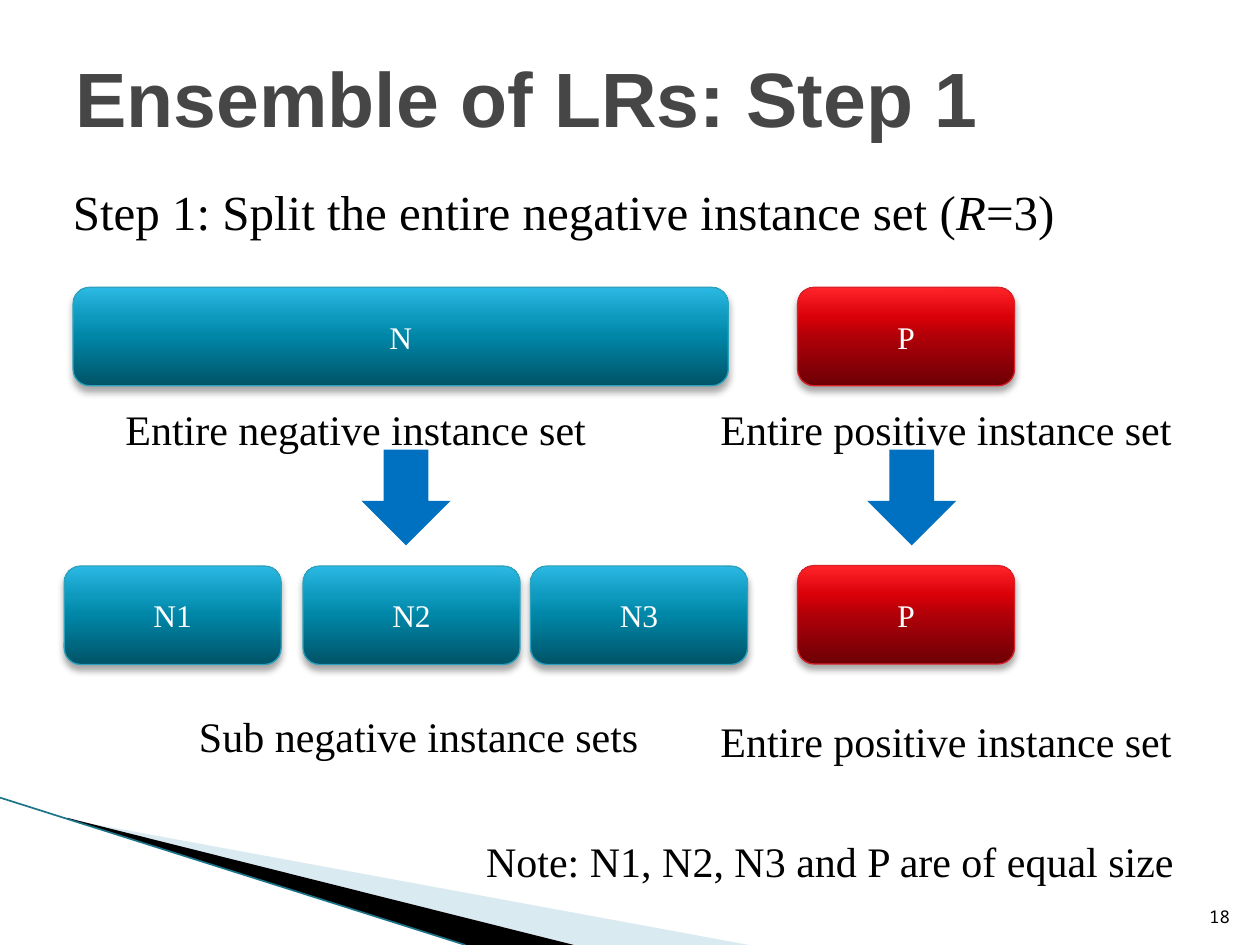
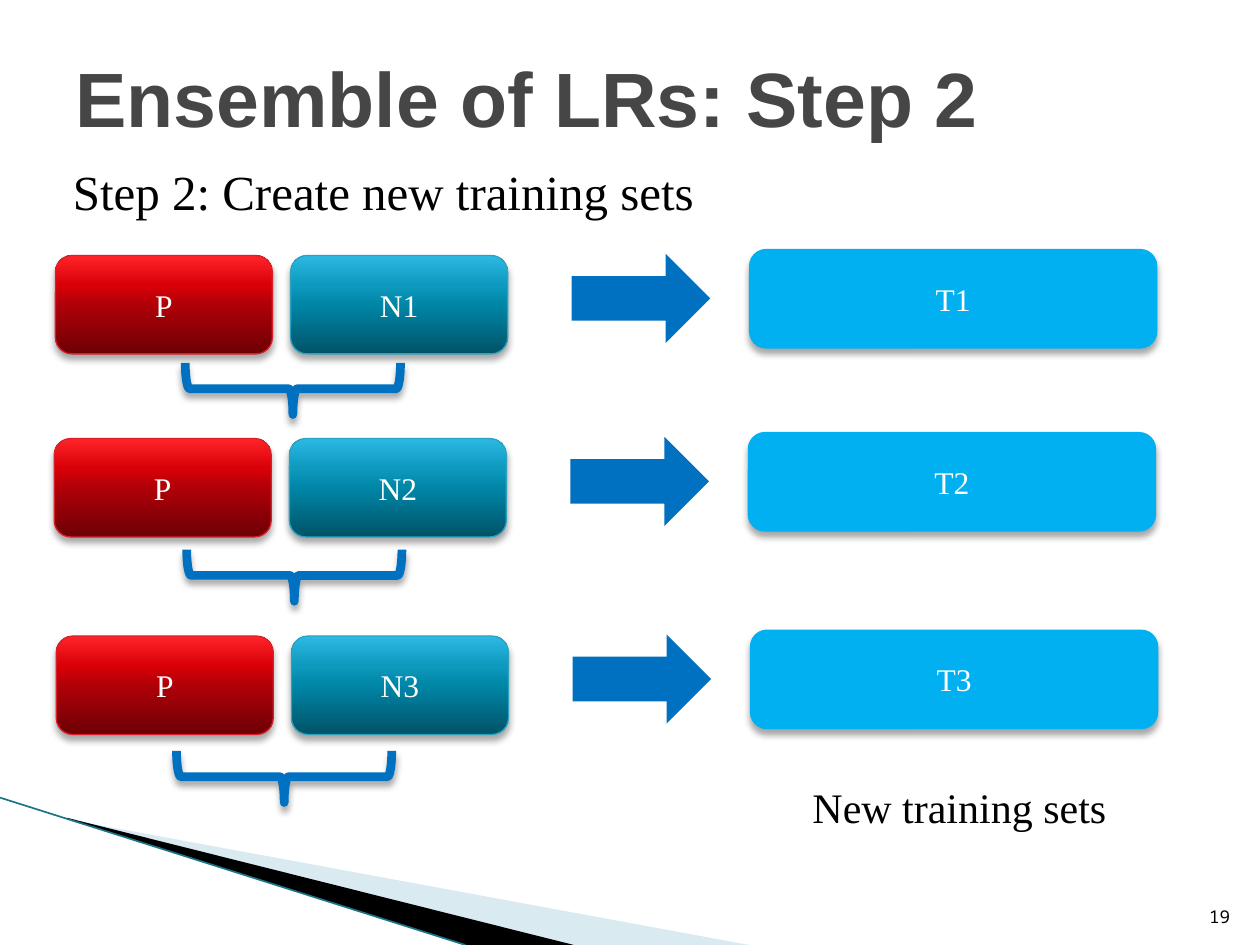
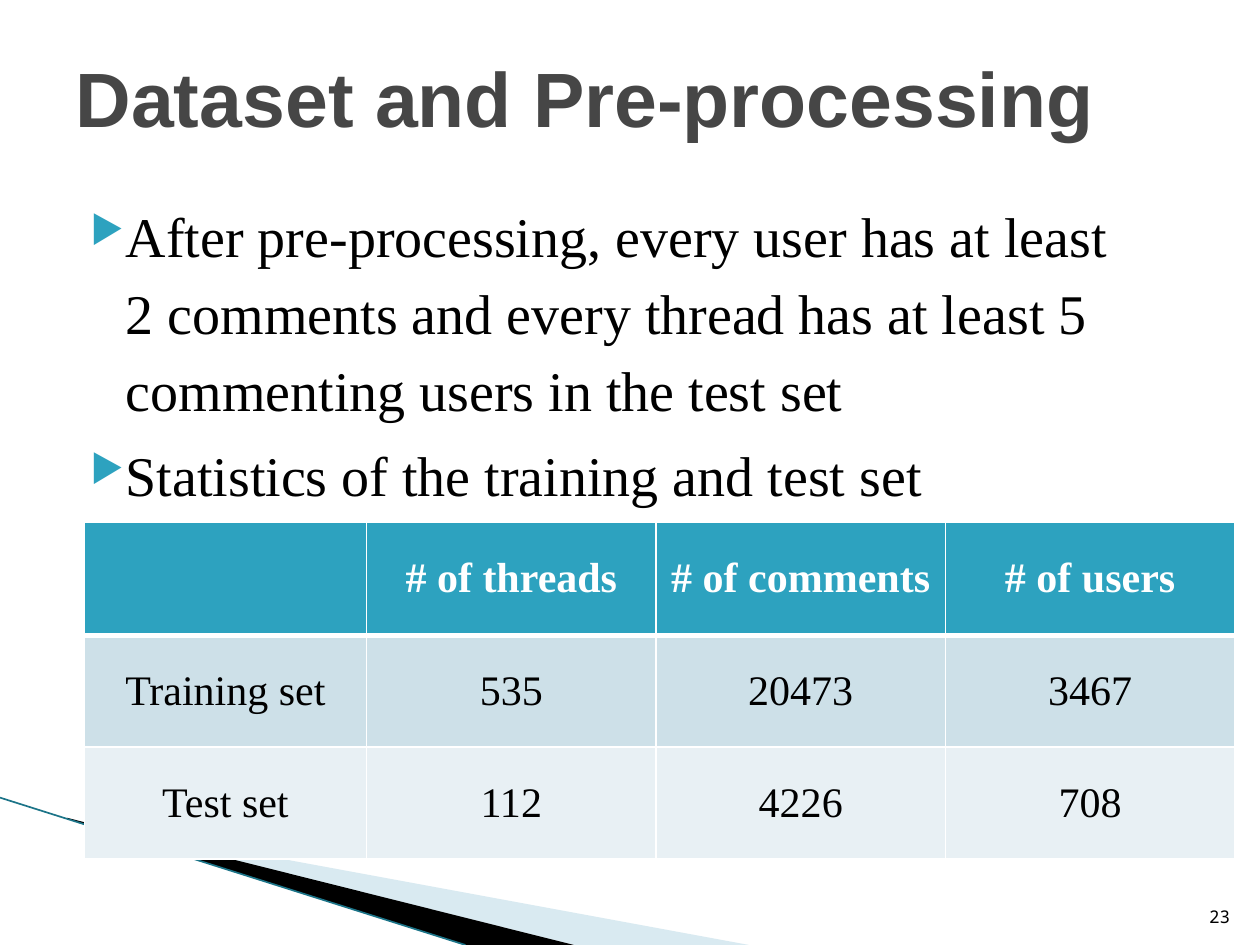
from lxml import etree
from pptx import Presentation
from pptx.dml.color import RGBColor
from pptx.enum import shapes, text
from pptx.oxml import parse_xml
from pptx.oxml.ns import nsdecls, qn
from pptx.util import Pt

COLORS = {
    "white": "FFFFFF", "black": "000000", "title": "464646",
    "teal": "2DA2BF", "red": "DA1F28", "arrow": "0070C0", "sky": "00B0F0",
    "wave": "A0CBDC", "wave_edge": "1C7488",
    "band_dark": "CDE0E8", "band_light": "E8F0F4",
}
# Gradient stops run from the bottom edge to the top edge
GRADIENTS = {
    "teal": [(0, "005367"), (50, "0086A7"), (70, "0E9ABE"), (100, "2CB9E3")],
    "red": [(0, "6D0005"), (50, "B00008"), (70, "DA0008"), (100, "FF2429")],
}
SERIF = "Times New Roman"
BOX_W, BOX_H = 124, 56.2
SHAPE = shapes.MSO_SHAPE
MIDDLE = text.MSO_ANCHOR.MIDDLE
CENTER = text.PP_ALIGN.CENTER


# --- Formatting helpers ---
def rgb(name):
    return RGBColor.from_string(COLORS[name])


def style(p, size, color="black", font=SERIF, bold=False, align=None):
    if align is not None:
        p.alignment = align
    for r in p.runs:
        r.font.size, r.font.name, r.font.bold = Pt(size), font, bold
        r.font.color.rgb = rgb(color)


def fill_solid(sp, color):
    sp.fill.solid()
    sp.fill.fore_color.rgb = rgb(color)


def fill_gradient(sp, name):
    fill_solid(sp, name)
    stops = "".join(f'<a:gs pos="{pos * 1000}"><a:srgbClr val="{color}"/></a:gs>'
                    for pos, color in GRADIENTS[name])
    spPr = sp.element.spPr
    spPr.replace(spPr.find(qn("a:solidFill")), parse_xml(
        f'<a:gradFill {nsdecls("a")} rotWithShape="1"><a:gsLst>{stops}</a:gsLst>'
        '<a:lin ang="16200000" scaled="0"/></a:gradFill>'))


def outline(sp, color, width):
    sp.line.color.rgb = rgb(color)
    sp.line.width = Pt(width)


def drop_shadow(sp):
    sp.shadow.inherit = False
    sp.element.spPr.find(qn("a:effectLst")).append(parse_xml(
        f'<a:outerShdw {nsdecls("a")} blurRad="50800" dist="38100" dir="5400000" '
        'rotWithShape="0"><a:srgbClr val="000000"><a:alpha val="35000"/>'
        '</a:srgbClr></a:outerShdw>'))


# --- Elements ---
def add_shape(s, kind, x, y, w, h):
    sp = s.shapes.add_shape(kind, Pt(x), Pt(y), Pt(w), Pt(h))
    sp.shadow.inherit = False
    return sp


def add_box(s, label, color, x, y, w=BOX_W):
    sp = add_shape(s, SHAPE.ROUNDED_RECTANGLE, x, y, w, BOX_H)
    if color in GRADIENTS:
        fill_gradient(sp, color)
    else:
        fill_solid(sp, color)
    outline(sp, color, 0.75)
    drop_shadow(sp)
    tf = sp.text_frame
    tf.text = label
    tf.vertical_anchor = MIDDLE
    style(tf.paragraphs[0], 18, "white", align=CENTER)


def add_arrow(s, kind, x, y, w, h):
    sp = add_shape(s, kind, x, y, w, h)
    fill_solid(sp, "arrow")
    sp.line.fill.background()


def add_brace(s, x, y):
    sp = add_shape(s, SHAPE.RIGHT_BRACE, x, y, 29.5, 123)
    sp.rotation = 90
    sp.fill.background()
    outline(sp, "arrow", 5)
    drop_shadow(sp)


def add_text(s, content, x, y, w, h=36, size=24):
    tf = s.shapes.add_textbox(Pt(x), Pt(y), Pt(w), Pt(h)).text_frame
    tf.word_wrap = True
    tf.text = content
    for p in tf.paragraphs:
        style(p, size)
    return tf


def add_bullets(s, items, x, y, w, h):
    tf = add_text(s, "\n".join(items), x, y, w, h, 32)
    for p in tf.paragraphs:
        p.line_spacing, p.space_before = 1.15, Pt(4)
        pPr = p._p.get_or_add_pPr()
        pPr.set("marL", str(Pt(28.8)))
        pPr.set("indent", str(Pt(-20.2)))
        color = etree.SubElement(pPr, qn("a:buClr"))
        etree.SubElement(color, qn("a:srgbClr"), val=COLORS["teal"])
        etree.SubElement(pPr, qn("a:buSzPct"), val="68000")
        etree.SubElement(pPr, qn("a:buChar"), char="▶")


def add_borders(cell, bottom):
    tcPr = cell._tc.get_or_add_tcPr()
    for side, width in (("L", 1), ("R", 1), ("T", 1), ("B", bottom)):
        tcPr.append(parse_xml(
            f'<a:ln{side} {nsdecls("a")} w="{Pt(width)}"><a:solidFill>'
            f'<a:srgbClr val="{COLORS["white"]}"/></a:solidFill></a:ln{side}>'))


def add_table(s, rows, x, y, widths, heights):
    table = s.shapes.add_table(len(rows), len(widths), Pt(x), Pt(y),
                               Pt(sum(widths)), Pt(sum(heights))).table
    for column, width in zip(table.columns, widths):
        column.width = Pt(width)
    for i, values in enumerate(rows):
        table.rows[i].height = Pt(heights[i])
        header = i == 0
        for j, value in enumerate(values):
            cell = table.cell(i, j)
            add_borders(cell, 3 if header else 1)
            fill_solid(cell, ("teal", "band_dark", "band_light")[i])
            cell.vertical_anchor = MIDDLE
            cell.margin_left = cell.margin_right = Pt(5)
            cell.margin_top = cell.margin_bottom = 0
            cell.text = value
            style(cell.text_frame.paragraphs[0], 24,
                  "white" if header else "black", bold=header, align=CENTER)


# --- Shared slide frame ---
def add_wedge(s, color, points):
    start, *rest = [(Pt(x), Pt(y)) for x, y in points]
    builder = s.shapes.build_freeform(*start)
    builder.add_line_segments(rest, close=True)
    sp = builder.convert_to_shape()
    sp.shadow.inherit = False
    fill_solid(sp, color)
    sp.line.fill.background()
    return sp


def add_wave(s):
    pale = add_wedge(s, "wave", [(39.6, 468.4), (428, 540), (328, 540), (39.6, 468)])
    color = pale.element.spPr.find(qn("a:solidFill"))[0]
    etree.SubElement(color, qn("a:alpha"), val="40000")
    add_wedge(s, "black", [(38.2, 467.3), (328, 540), (266, 540), (38.9, 468)])
    edge = s.shapes.add_connector(shapes.MSO_CONNECTOR.STRAIGHT,
                                  0, Pt(455.8), Pt(266), Pt(540))
    outline(edge, "wave_edge", 0.95)
    etree.SubElement(edge.element.spPr, qn("a:effectLst"))


def new_slide(prs, title, number):
    s = prs.slides.add_slide(prs.slide_layouts[5])
    add_wave(s)
    # Page number
    tf = add_text(s, number, 681, 504.7, 29, 28.8)
    tf.vertical_anchor = text.MSO_ANCHOR.BOTTOM
    style(tf.paragraphs[0], 10, font="Noto Sans Mono", align=text.PP_ALIGN.RIGHT)
    # Title
    sp = s.shapes.title
    sp.left, sp.top, sp.width, sp.height = Pt(36), Pt(21.6), Pt(648), Pt(67)
    tf = sp.text_frame
    tf.text = title
    tf.vertical_anchor = MIDDLE
    tf.auto_size = text.MSO_AUTO_SIZE.NONE
    style(tf.paragraphs[0], 44, "title", "Arial", True, text.PP_ALIGN.LEFT)
    return s


# --- Slides ---
def split_slide(prs):
    s = new_slide(prs, "Ensemble of LRs: Step 1", "18")
    # Full sets
    add_box(s, "N", "teal", 41.8, 164.2, 374.4)
    add_box(s, "P", "red", 455.8, 164.2)
    add_text(s, "Entire negative instance set", 64.6, 226.8, 289.4)
    add_text(s, "Entire positive instance set", 404.6, 226.8, 284)
    for x in (206.5, 495.5):
        add_arrow(s, SHAPE.DOWN_ARROW, x, 257, 51, 54.7)
    # Sets after the split
    for label, x in (("N1", 36.7), ("N2", 173.2), ("N3", 303.2)):
        add_box(s, label, "teal", x, 323.5)
    add_box(s, "P", "red", 455.8, 323.2)
    add_text(s, "Sub negative instance sets", 106.6, 402.5, 270)
    add_text(s, "Entire positive instance set", 404.6, 405.4, 292)
    # Step and note
    tf = add_text(s, "Step 1: Split the entire negative instance set (", 34.6, 100, 644, 41)
    p = tf.paragraphs[0]
    p.add_run().text = "R"
    p.add_run().text = "=3)"
    style(p, 28)
    p.runs[1].font.italic = True
    add_text(s, "Note: N1, N2, N3 and P are of equal size", 270.7, 473.8, 417.6)


def training_slide(prs):
    s = new_slide(prs, "Ensemble of LRs: Step 2", "19")
    add_text(s, "Step 2: Create new training sets", 34.6, 88.6, 498, 41, 28)
    add_text(s, "New training sets", 457.2, 442.8, 232)
    # Each row joins P with one part of N: left, top, brace left, brace top
    rows = [(31.7, 146, 152.6, 160.6), (31, 250.6, 153.4, 267.3),
            (32.2, 363.5, 147.6, 382.3)]
    for n, (x, y, brace_x, brace_y) in enumerate(rows, 1):
        add_box(s, "P", "red", x, y)
        add_box(s, f"N{n}", "teal", x + 134.4, y)
        add_arrow(s, SHAPE.RIGHT_ARROW, x + 295, y - 1, 79.2, 51)
        add_box(s, f"T{n}", "sky", x + 396.7, y - 3.4, 232.6)
        add_brace(s, brace_x, brace_y)


def dataset_slide(prs):
    s = new_slide(prs, "Dataset and Pre-processing", "23")
    add_bullets(s, [
        "After pre-processing, every user has at least 2 comments and every "
        "thread has at least 5 commenting users in the test set",
        "Statistics of the training and test set",
    ], 36, 105.8, 624.2, 187)
    add_table(s, [
        ["", "# of threads", "# of comments", "# of users"],
        ["Training set", "535", "20473", "3467"],
        ["Test set", "112", "4226", "708"],
    ], 48.2, 298.4, [161.3] + [165.4] * 3, [64.6, 64, 64])


def main():
    prs = Presentation()
    prs.slide_width, prs.slide_height = Pt(720), Pt(540)
    split_slide(prs)
    training_slide(prs)
    dataset_slide(prs)
    prs.save("out.pptx")


if __name__ == "__main__":
    main()
